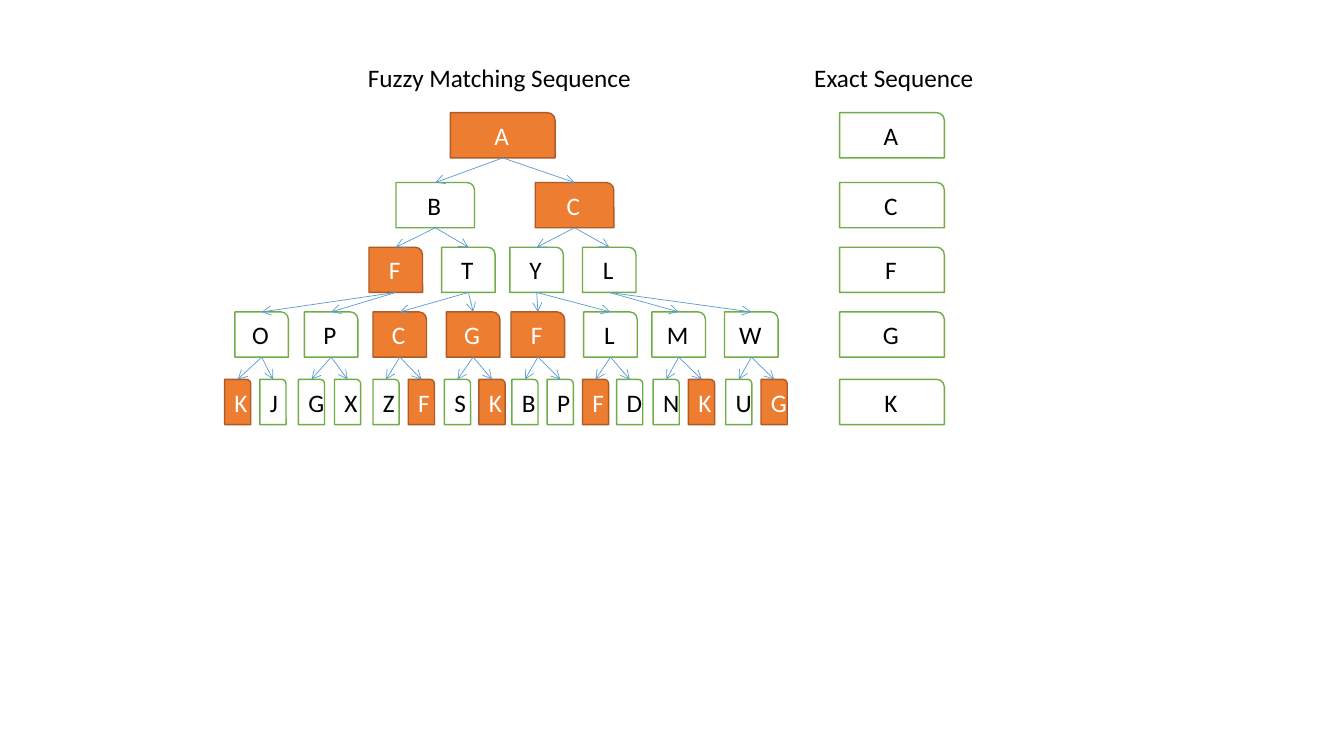
import pptx
import pptx.dml.color
import pptx.enum.shapes
import pptx.enum.text
import pptx.util
import lxml.etree
from dataclasses import dataclass

Cm = pptx.util.Cm
Pt = pptx.util.Pt
Rgb = pptx.dml.color.RGBColor.from_string


@dataclass
class Theme:
    font: str = "Calibri"
    size: int = 18
    text: str = "000000"
    plain: tuple = ("FFFFFF", "70AD47", "000000")  # fill, line, letter
    match: tuple = ("ED7D31", "AF5C24", "FFFFFF")
    arrow: str = "5B9BD5"
    box_line: float = 1
    arrow_line: float = 0.5


theme = Theme()

BOX_HEIGHT = 1.14
ROW_TOPS = [2.84, 4.6, 6.23, 7.86, 9.56]
ROW_WIDTHS = [2.64, 1.98, 1.35, 1.35, 0.66]
# Each row: letters, positions of matching letters, left edges in cm
TREE_ROWS = [
    ("A", {0}, [11.35]),
    ("BC", {1}, [9.98, 13.49]),
    ("FTYL", {0}, [9.3, 11.13, 12.85, 14.68]),
    ("OPCGFLMW", {2, 3, 4},
     [5.92, 7.67, 9.4, 11.25, 12.88, 14.71, 16.43, 18.26]),
    ("KJGXZFSKBPFDNKUG", {0, 5, 7, 10, 13, 15},
     [5.66, 6.55, 7.52, 8.43, 9.4, 10.29, 11.2, 12.07,
      12.9, 13.79, 14.68, 15.54, 16.46, 17.35, 18.29, 19.18]),
]
EXACT_LETTERS = "ACFGK"
EXACT_LEFT = 21.16
HEADINGS = [("Fuzzy Matching Sequence", 9.02, 7.34), ("Exact Sequence", 20.27, 5.26)]


def write(shape, text, color):
    """Put one line of themed text in a shape and return its paragraph."""
    shape.text_frame.word_wrap = True
    para = shape.text_frame.paragraphs[0]
    para.text = text
    para.font.name = theme.font
    para.font.size = Pt(theme.size)
    para.font.color.rgb = Rgb(color)
    return para


def add_box(letter, left, top, width, colors):
    """Add a lettered box with one rounded corner."""
    fill, line, text_color = colors
    box = slide.shapes.add_shape(
        pptx.enum.shapes.MSO_SHAPE.ROUND_1_RECTANGLE,
        Cm(left), Cm(top), Cm(width), Cm(BOX_HEIGHT))
    box.shadow.inherit = False
    box.fill.solid()
    box.fill.fore_color.rgb = Rgb(fill)
    box.line.color.rgb = Rgb(line)
    box.line.width = Pt(theme.box_line)
    box.text_frame.vertical_anchor = pptx.enum.text.MSO_ANCHOR.MIDDLE
    write(box, letter, text_color).alignment = pptx.enum.text.PP_ALIGN.CENTER
    return box


deck = pptx.Presentation()
deck.slide_width, deck.slide_height = Cm(33.87), Cm(19.05)
slide = deck.slides.add_slide(deck.slide_layouts[6])

for letter, top in zip(EXACT_LETTERS, ROW_TOPS):
    add_box(letter, EXACT_LEFT, top, ROW_WIDTHS[0], theme.plain)

tree = []
for (letters, matches, lefts), top, width in zip(TREE_ROWS, ROW_TOPS, ROW_WIDTHS):
    tree.append([
        add_box(letter, left, top, width, theme.match if i in matches else theme.plain)
        for i, (letter, left) in enumerate(zip(letters, lefts))])

# Every box has two children in the row below
for parents, children in zip(tree, tree[1:]):
    for i, child in enumerate(children):
        arrow = slide.shapes.add_connector(
            pptx.enum.shapes.MSO_CONNECTOR.STRAIGHT, 0, 0, 0, 0)
        arrow.begin_connect(parents[i // 2], 2)
        arrow.end_connect(child, 0)
        arrow.line.color.rgb = Rgb(theme.arrow)
        arrow.line.width = Pt(theme.arrow_line)
        line = arrow.line._get_or_add_ln()
        lxml.etree.SubElement(line, pptx.oxml.ns.qn("a:tailEnd"), type="arrow")
        lxml.etree.SubElement(arrow._element.spPr, pptx.oxml.ns.qn("a:effectLst"))

for heading, left, width in HEADINGS:
    label = slide.shapes.add_textbox(Cm(left), Cm(1.45), Cm(width), Cm(1.02))
    write(label, heading, theme.text)

deck.save("out.pptx")
